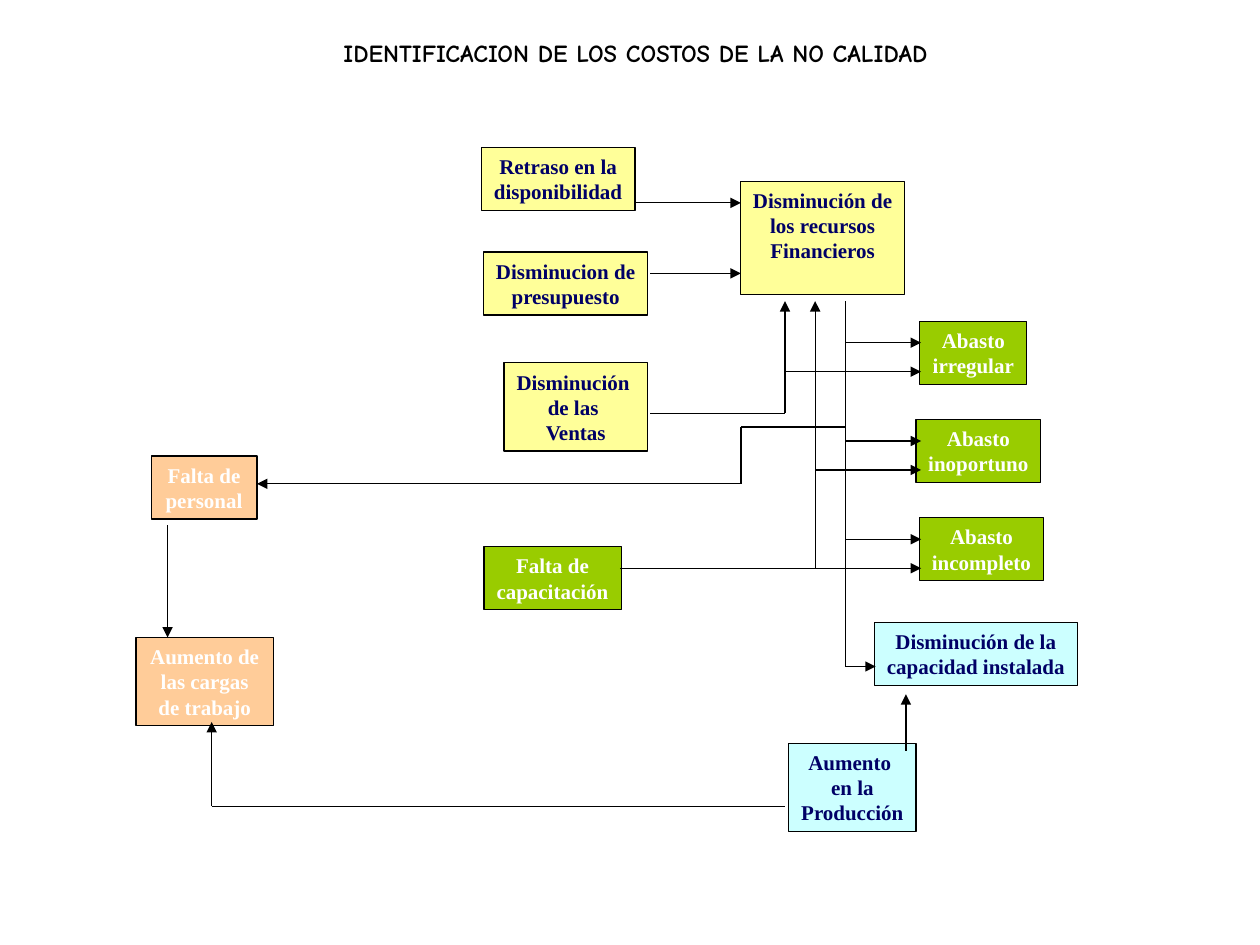
from typing import NamedTuple

from lxml import etree
from pptx import Presentation
from pptx import util as u
from pptx.dml.color import RGBColor
from pptx.enum import shapes, text
from pptx.oxml import ns

COLORS = {
    "black": "000000", "white": "FFFFFF", "navy": "000066",
    "peach": "FFCC99", "yellow": "FFFF99", "green": "99CC00", "aqua": "CCFFFF",
}
INK = {"peach": "white", "green": "white", "yellow": "navy", "aqua": "navy"}


class Box(NamedTuple):
    words: str
    fill: str
    left: float
    top: float
    width: float
    height: float = 0.5


class Route(NamedTuple):
    points: list[tuple[float, float]]
    arrow: bool = True


def rgb(name: str) -> RGBColor:
    return RGBColor.from_string(COLORS[name])


def write(frame, words: str, size: int, face: str, color: str) -> None:
    frame.text = words
    frame.word_wrap = False
    frame.auto_size = text.MSO_AUTO_SIZE.NONE
    frame.vertical_anchor = text.MSO_ANCHOR.TOP
    for para in frame.paragraphs:
        para.alignment = text.PP_ALIGN.CENTER
        for run in para.runs:
            run.font.size = u.Pt(size)
            run.font.name = face
            run.font.bold = True
            run.font.color.rgb = rgb(color)


def draw_box(slide, box: Box) -> None:
    place = map(u.Inches, (box.left, box.top, box.width, box.height))
    shape = slide.shapes.add_shape(shapes.MSO_SHAPE.RECTANGLE, *place)
    shape.shadow.inherit = False
    shape.fill.solid()
    shape.fill.fore_color.rgb = rgb(box.fill)
    shape.line.color.rgb = rgb("black")
    shape.line.width = u.Pt(0.75)
    write(shape.text_frame, box.words, 12, "Times New Roman", INK[box.fill])


def draw_line(slide, start: tuple, end: tuple, arrow: bool) -> None:
    line = slide.shapes.add_connector(
        shapes.MSO_CONNECTOR.STRAIGHT, *map(u.Inches, (*start, *end)))
    line.line.color.rgb = rgb("black")
    line.line.width = u.Pt(0.75)
    if arrow:
        tail = etree.SubElement(line.line._get_or_add_ln(), ns.qn("a:tailEnd"))
        tail.set("type", "triangle")
    etree.SubElement(line._element.spPr, ns.qn("a:effectLst"))


def draw_route(slide, route: Route) -> None:
    pairs = list(zip(route.points, route.points[1:]))
    for start, end in pairs:
        draw_line(slide, start, end, route.arrow and end == route.points[-1])


# Supply boxes stand one step apart, each fed by two arrows
STEP = 0.78
TRUNK = 6.71
SUPPLY = [("irregular", 7.3, 0.85, 6.23),
          ("inoportuno", 7.27, 0.99, 6.47),
          ("incompleto", 7.3, 0.98, 4.92)]

BOXES = [
    Box("Falta de\npersonal", "peach", 1.2, 3.62, 0.84),
    Box("Aumento de\nlas cargas\nde trabajo", "peach", 1.08, 5.06, 1.09, 0.7),
    Box("Retraso en la\ndisponibilidad", "yellow", 3.82, 1.17, 1.22),
    Box("Disminucion de\npresupuesto", "yellow", 3.84, 2, 1.3),
    Box("Disminución \nde las \nVentas", "yellow", 4, 2.88, 1.14, 0.7),
    Box("Falta de\ncapacitación", "green", 3.84, 4.34, 1.09),
    Box("Disminución de\nlos recursos\nFinancieros", "yellow", 5.88, 1.44, 1.3, 0.9),
    Box("Disminución de la\ncapacidad instalada", "aqua", 6.94, 4.94, 1.61),
    Box("Aumento \nen la\nProducción", "aqua", 6.26, 5.9, 1.01, 0.7),
]

ROUTES = [
    Route([(1.33, 4.17), (1.33, 5.06)]),
    Route([(5.04, 1.61), (5.88, 1.61)]),
    Route([(5.16, 2.17), (5.88, 2.17)]),
    Route([(5.16, 3.28), (6.23, 3.28), (6.23, 2.39)]),
    Route([(6.47, 4.51), (6.47, 2.39)]),
    Route([(TRUNK, 2.39), (TRUNK, 5.29), (6.95, 5.29)]),
    Route([(TRUNK, 3.39), (5.88, 3.39), (5.88, 3.84), (2.04, 3.84)]),
    Route([(7.19, 5.96), (7.19, 5.51)]),
    Route([(6.23, 6.4), (1.68, 6.4), (1.68, 5.73)]),
]

for row, (kind, left, width, source) in enumerate(SUPPLY):
    drop = row * STEP
    BOXES.append(Box(f"Abasto\n{kind}", "green", left, 2.55 + drop, width))
    for start, level in ((TRUNK, 2.72), (source, 2.95)):
        ROUTES.append(Route([(start, level + drop), (7.31, level + drop)]))


def main() -> None:
    deck = Presentation()
    deck.slide_width, deck.slide_height = u.Inches(10), u.Inches(7.5)
    slide = deck.slides.add_slide(deck.slide_layouts[6])

    # Title
    title = slide.shapes.add_textbox(*map(u.Inches, (1.92, 0.25, 6.25, 0.34)))
    write(title.text_frame, "IDENTIFICACION DE LOS COSTOS DE LA NO CALIDAD",
          14, "Comic Neue", "black")

    # Causes and effects, then the links between them
    for box in BOXES:
        draw_box(slide, box)
    for route in ROUTES:
        draw_route(slide, route)

    deck.save("out.pptx")


if __name__ == "__main__":
    main()
